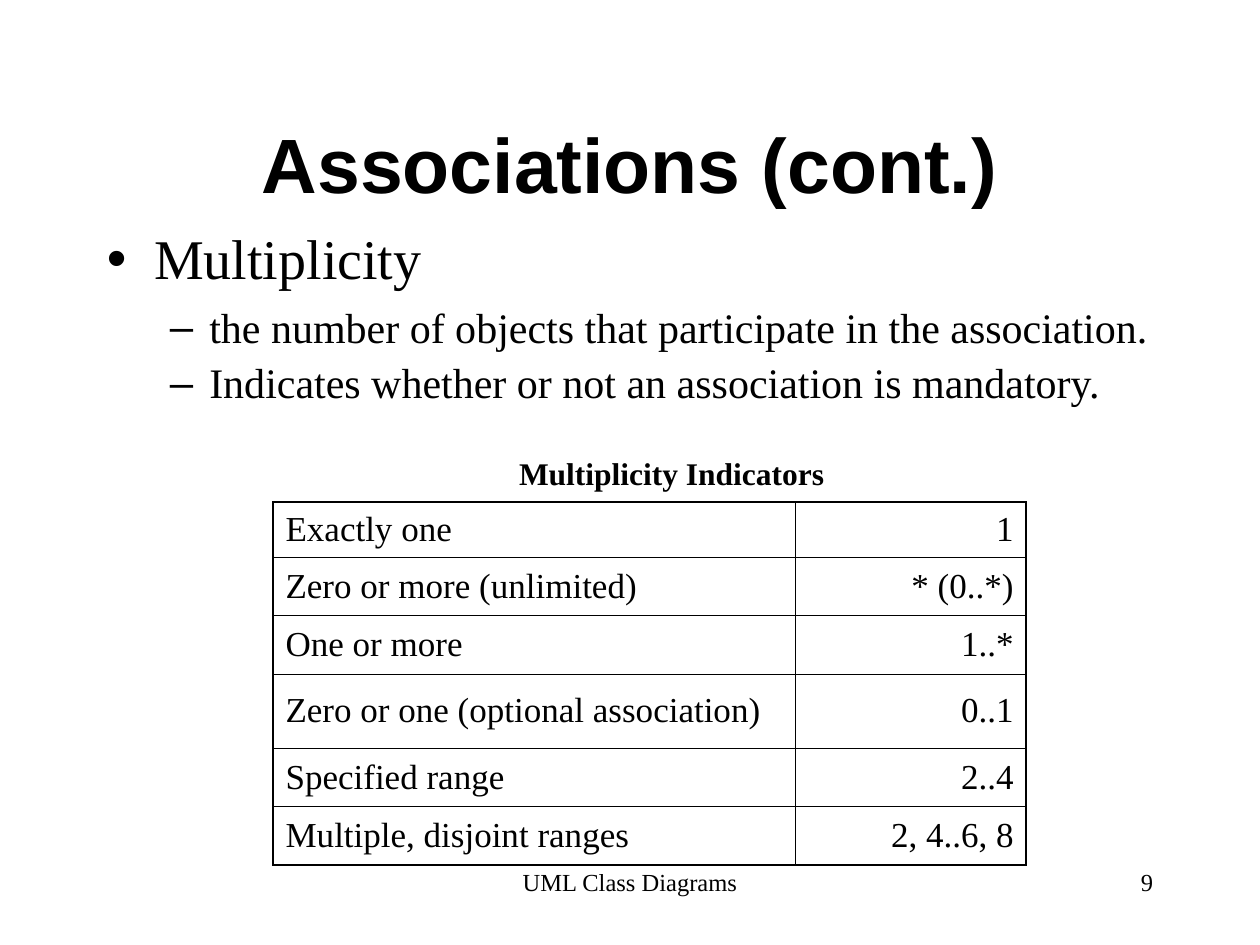
from lxml.etree import SubElement
from pptx import Presentation
from pptx.dml.color import RGBColor
from pptx.enum.text import MSO_ANCHOR as Anchor, MSO_AUTO_SIZE as AutoSize, PP_ALIGN as Align
from pptx.oxml.ns import qn
from pptx.util import Pt

COLORS = {"ink": "000000", "paper": "FFFFFF"}
SERIF, SANS = "Times New Roman", "Arial"

TITLE = "Associations (cont.)"
# text, level, bullet, size, left margin, hanging indent, line spacing, space before
POINTS = [
    ("Multiplicity", 0, "•", 32, 27, 27, 0.9, 0),
    ("the number of objects that participate in the association.", 1, "–", 24, 58.5, 22.5, 1.0, 6),
    ("Indicates whether or not an association is mandatory.", 1, "–", 24, 58.5, 22.5, 0.9, 6),
]
CAPTION = "Multiplicity Indicators"
INDICATORS = [
    ("Exactly one", "1"),
    ("Zero or more (unlimited)", "* (0..*)"),
    ("One or more", "1..*"),
    ("Zero or one (optional association)", "0..1"),
    ("Specified range", "2..4"),
    ("Multiple, disjoint ranges", "2, 4..6, 8"),
]
FOOTER, PAGE_NUMBER = "UML Class Diagrams", "9"

# left, top, width, height in points
TITLE_BOX = (54, 48, 612, 90)
BODY_BOX = (54, 128.3, 641, 131)
CAPTION_BOX = (253.5, 256, 240, 29)
FOOTER_BOX = (246, 492, 228, 36)
NUMBER_BOX = (516, 492, 150, 36)
TABLE_LEFT, TABLE_TOP = 156, 287
COLUMN_WIDTHS = (298.5, 132)
ROW_HEIGHTS = (31.5, 33.3, 33.3, 42.5, 33.3, 33.3)
OUTER_LINE, INNER_LINE = 1.08, 0.45


def points(values):
    return [Pt(value) for value in values]


def set_all(target, values):
    for name, value in values.items():
        setattr(target, name, value)


def write(paragraph, text, size, align=Align.LEFT, font=SERIF, bold=False):
    paragraph.text = text
    paragraph.alignment = align
    set_all(paragraph.font, {"name": font, "size": Pt(size), "bold": bold})
    paragraph.font.color.rgb = RGBColor.from_string(COLORS["ink"])


def add_text_box(slide, box):
    frame = slide.shapes.add_textbox(*points(box)).text_frame
    frame.word_wrap = True
    return frame


def indent(paragraph, margin, hanging=0, bullet=None):
    properties = paragraph._p.get_or_add_pPr()
    properties.set("marL", str(Pt(margin)))
    properties.set("indent", str(-Pt(hanging)))
    if bullet:
        color = SubElement(properties, qn("a:buClr"))
        SubElement(color, qn("a:srgbClr"), val=COLORS["ink"])
        SubElement(properties, qn("a:buFont"), typeface=SANS)
        SubElement(properties, qn("a:buChar"), char=bullet)


def add_borders(cell, widths):
    """Draw the cell's left, right, top and bottom lines, in that order."""
    properties = cell._tc.get_or_add_tcPr()
    for position, (side, width) in enumerate(zip("LRTB", widths)):
        line = properties.makeelement(qn(f"a:ln{side}"), {"w": str(Pt(width))})
        fill = SubElement(line, qn("a:solidFill"))
        SubElement(fill, qn("a:srgbClr"), val=COLORS["ink"])
        properties.insert(position, line)


def add_title(slide):
    title = slide.shapes.title
    set_all(title, dict(zip(("left", "top", "width", "height"), points(TITLE_BOX))))
    set_all(title.text_frame, {"vertical_anchor": Anchor.MIDDLE, "auto_size": AutoSize.NONE})
    write(title.text_frame.paragraphs[0], TITLE, 44, Align.CENTER, SANS, True)


def add_body(slide):
    frame = add_text_box(slide, BODY_BOX)
    for number, (text, level, bullet, size, margin, hanging, spacing, before) in enumerate(POINTS):
        paragraph = frame.add_paragraph() if number else frame.paragraphs[0]
        set_all(paragraph, {"level": level, "line_spacing": spacing, "space_before": Pt(before)})
        indent(paragraph, margin, hanging, bullet)
        write(paragraph, text, size)


def add_indicator_table(slide):
    row_count, column_count = len(INDICATORS), len(COLUMN_WIDTHS)
    size = (sum(COLUMN_WIDTHS), sum(ROW_HEIGHTS))
    table = slide.shapes.add_table(
        row_count, column_count, *points((TABLE_LEFT, TABLE_TOP, *size))).table
    set_all(table, {"first_row": False, "horz_banding": False})
    for column, width in zip(table.columns, COLUMN_WIDTHS):
        column.width = Pt(width)
    for r, (row, texts) in enumerate(zip(table.rows, INDICATORS)):
        row.height = Pt(ROW_HEIGHTS[r])
        for c, (cell, text) in enumerate(zip(row.cells, texts)):
            cell.fill.background()
            cell.vertical_anchor = Anchor.MIDDLE
            write(cell.text_frame.paragraphs[0], text, 20, Align.RIGHT if c else Align.LEFT)
            on_edge = (c == 0, c == column_count - 1, r == 0, r == row_count - 1)
            add_borders(cell, [OUTER_LINE if edge else INNER_LINE for edge in on_edge])


def add_caption(slide):
    paragraph = add_text_box(slide, CAPTION_BOX).paragraphs[0]
    paragraph.level = 1
    indent(paragraph, 36)
    write(paragraph, CAPTION, 18, bold=True)


def main():
    presentation = Presentation()
    set_all(presentation, {"slide_width": Pt(720), "slide_height": Pt(540)})
    slide = presentation.slides.add_slide(presentation.slide_layouts[5])
    slide.background.fill.solid()
    slide.background.fill.fore_color.rgb = RGBColor.from_string(COLORS["paper"])

    for box, text, align in ((FOOTER_BOX, FOOTER, Align.CENTER),
                             (NUMBER_BOX, PAGE_NUMBER, Align.RIGHT)):
        write(add_text_box(slide, box).paragraphs[0], text, 14, align)
    add_title(slide)
    add_body(slide)
    add_indicator_table(slide)
    add_caption(slide)

    presentation.save("out.pptx")


if __name__ == "__main__":
    main()
